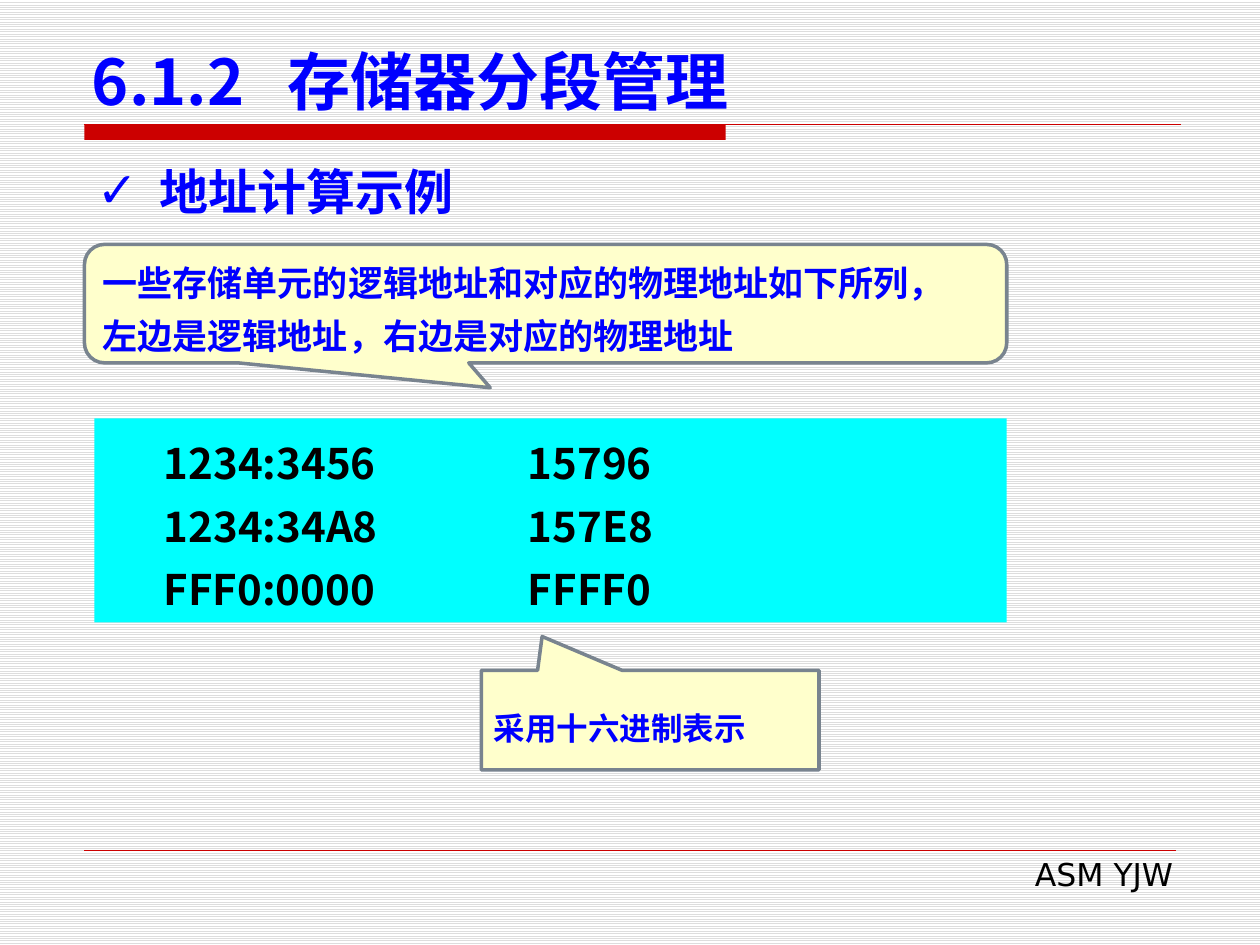
from lxml import etree
from pptx import Presentation
from pptx.dml.color import RGBColor
from pptx.enum.dml import MSO_PATTERN
from pptx.enum.shapes import MSO_CONNECTOR, MSO_SHAPE
from pptx.enum.text import MSO_ANCHOR, MSO_AUTO_SIZE, PP_ALIGN
from pptx.oxml.ns import qn
from pptx.util import Inches, Pt

STRAIGHT = MSO_CONNECTOR.STRAIGHT
RECT = MSO_SHAPE.RECTANGLE
WEDGE_RECT = MSO_SHAPE.RECTANGULAR_CALLOUT
WEDGE_ROUND = MSO_SHAPE.ROUNDED_RECTANGULAR_CALLOUT
TOP, MIDDLE, BOTTOM = MSO_ANCHOR.TOP, MSO_ANCHOR.MIDDLE, MSO_ANCHOR.BOTTOM
LEFT, RIGHT = PP_ALIGN.LEFT, PP_ALIGN.RIGHT

RED = RGBColor(0xCC, 0x00, 0x00)
BLUE = RGBColor(0x00, 0x00, 0xFF)
BLACK = RGBColor(0x00, 0x00, 0x00)
WHITE = RGBColor(0xFF, 0xFF, 0xFF)
STRIPE = RGBColor(0xDD, 0xDD, 0xDD)
CYAN = RGBColor(0x00, 0xFF, 0xFF)
CREAM = RGBColor(0xFF, 0xFF, 0xCC)
SLATE = RGBColor(0x79, 0x84, 0x8F)
NOTO, DEJAVU = "Noto Sans CJK SC", "DejaVu Sans"

prs = Presentation()
prs.slide_width, prs.slide_height = Inches(10), Inches(7.5)
COL, ROW = prs.slide_width / 100, prs.slide_height / 75
s = prs.slides.add_slide(prs.slide_layouts[5])

fill = s.background.fill
fill.patterned()
fill.pattern = MSO_PATTERN.LIGHT_HORIZONTAL
fill.fore_color.rgb, fill.back_color.rgb = STRIPE, WHITE


def box(x, y, w, h):
    return int(x * COL), int(y * ROW), int(w * COL), int(h * ROW)


def write(sp, lines, size, font, color, bold=True, anchor=TOP, align=LEFT, spacing=None, tab=None):
    tf = sp.text_frame
    tf.word_wrap, tf.vertical_anchor = True, anchor
    tf.auto_size = MSO_AUTO_SIZE.NONE
    for i, line in enumerate(lines):
        p = tf.paragraphs[0] if i == 0 else tf.add_paragraph()
        p.alignment = align
        if spacing:
            p.line_spacing = Pt(spacing)
        if tab:
            tabs = etree.SubElement(p._p.get_or_add_pPr(), qn("a:tabLst"))
            etree.SubElement(tabs, qn("a:tab"), pos=str(int(tab * COL)), algn="l")
        r = p.add_run()
        r.text = line
        r.font.size, r.font.bold, r.font.name = Pt(size), bold, font
        r.font.color.rgb = color
        etree.SubElement(r._r.get_or_add_rPr(), qn("a:ea"), typeface=NOTO)


title = s.shapes.title
title.left, title.top, title.width, title.height = box(6.3, 3.3, 87.5, 6.6)
write(title, ["6.1.2\t存储器分段管理"], 36, NOTO, BLUE, anchor=BOTTOM, tab=15.5)

bar = s.shapes.add_shape(RECT, *box(6.7, 9.9, 50.9, 1.2))
bar.shadow.inherit = False
bar.fill.solid()
bar.fill.fore_color.rgb = RED
bar.line.fill.background()

for y, right, weight in [(9.9, 93.7, 0.75), (67.5, 93.3, 0.25)]:
    x1, y1, x2, y2 = box(6.7, y, right, y)
    rule = s.shapes.add_connector(STRAIGHT, x1, y1, x2, y2)
    rule.line.color.rgb, rule.line.width = RED, Pt(weight)
    etree.SubElement(rule._element.spPr, qn("a:effectLst"))

footer = s.shapes.add_textbox(*box(38.2, 67.4, 55.9, 4))
write(footer, ["ASM YJW"], 18, DEJAVU, BLACK, bold=False, align=RIGHT)

heading = s.shapes.add_textbox(*box(6.7, 12.3, 86.6, 5.7))
write(heading, ["地址计算示例"], 28, DEJAVU, BLUE)
pPr = heading.text_frame.paragraphs[0]._p.get_or_add_pPr()
pPr.set("marL", str(int(5 * COL)))
pPr.set("indent", str(int(-5 * COL)))
etree.SubElement(pPr, qn("a:buFont"), typeface=DEJAVU)
etree.SubElement(pPr, qn("a:buChar"), char="✓")

addresses = [("1234:3456", "15796"), ("1234:34A8", "157E8"), ("FFF0:0000", "FFFF0")]
table_box = s.shapes.add_shape(RECT, *box(7.5, 33.2, 72.4, 16.2))
table_box.shadow.inherit = False
table_box.fill.solid()
table_box.fill.fore_color.rgb = CYAN
table_box.line.fill.background()
table_box.text_frame.margin_left = int(5.5 * COL)
write(table_box, ["\t".join(pair) for pair in addresses], 24, NOTO, BLACK, spacing=36, tab=28.9)

callouts = [
    (WEDGE_RECT, (38.2, 53.2, 26.8, 7.9), (-0.32, -0.84), 18, DEJAVU, ["采用十六进制表示"]),
    (WEDGE_ROUND, (6.7, 19.4, 73.2, 9.4), (-0.06, 0.71, 0.17), 20, NOTO,
     ["一些存储单元的逻辑地址和对应的物理地址如下所列，", "左边是逻辑地址，右边是对应的物理地址"]),
]
for kind, place, adjustments, size, font, lines in callouts:
    sp = s.shapes.add_shape(kind, *box(*place))
    sp.shadow.inherit = False
    for i, value in enumerate(adjustments):
        sp.adjustments[i] = value
    sp.fill.solid()
    sp.fill.fore_color.rgb = CREAM
    sp.line.color.rgb, sp.line.width = SLATE, Pt(2)
    write(sp, lines, size, font, BLUE, anchor=MIDDLE, spacing=30)

prs.save("out.pptx")
